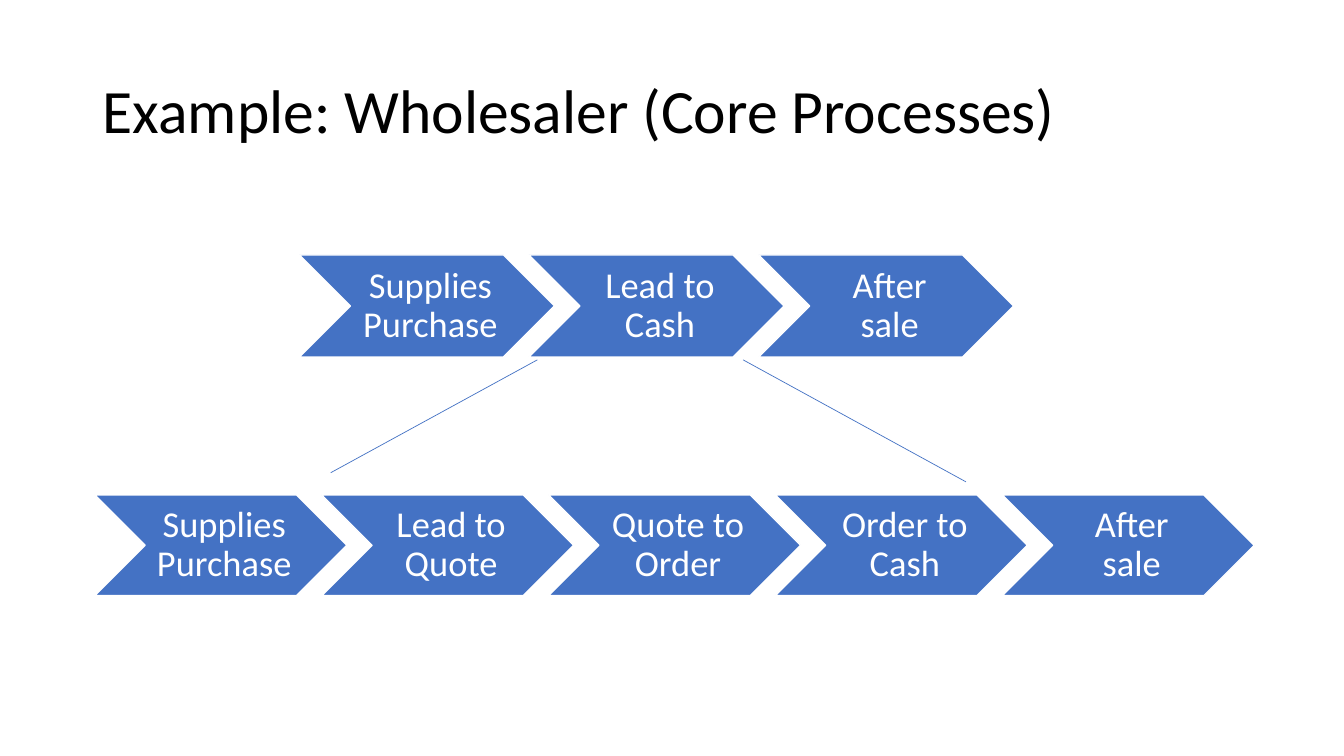
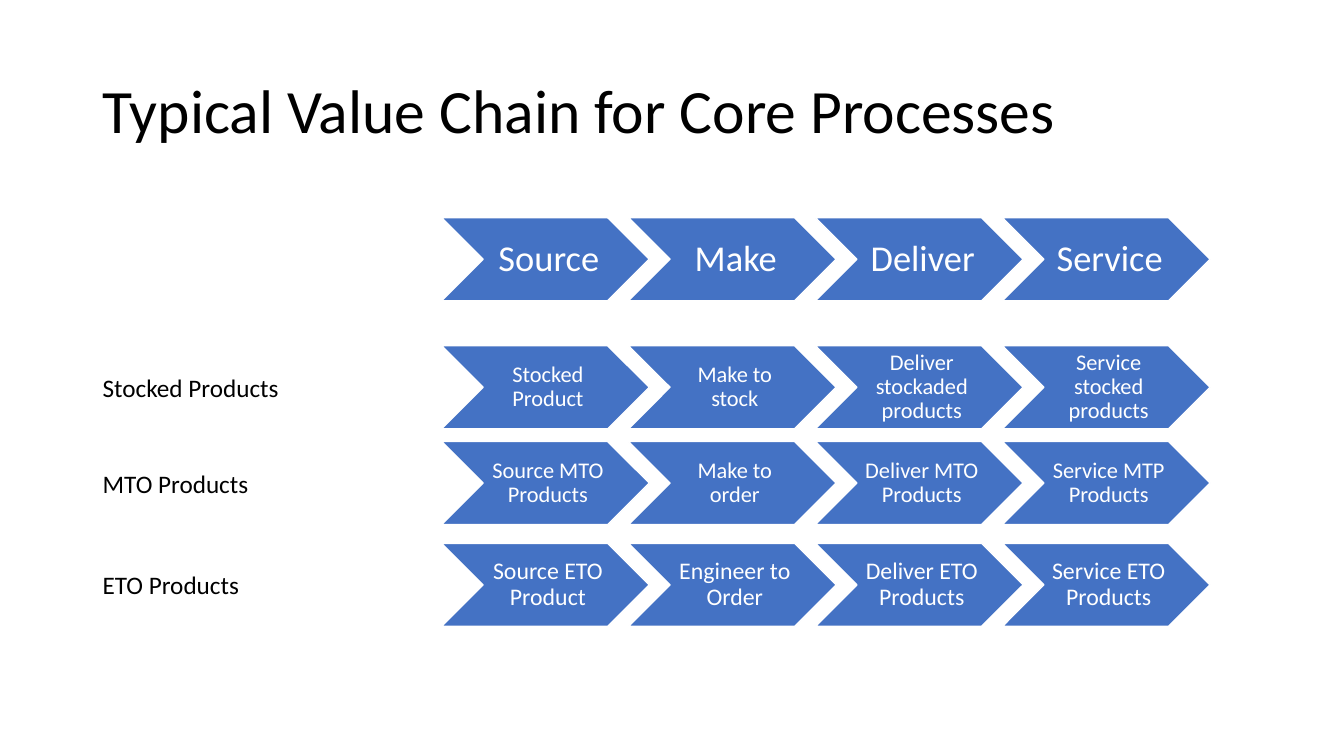
from dataclasses import dataclass

from lxml import etree
from pptx import Presentation, util as u
from pptx.dml.color import RGBColor
from pptx.enum import shapes as sh, text as tx
from pptx.oxml.ns import qn

FONT = "Calibri"
BLUE, WHITE, BLACK = "4472C4", "FFFFFF", "000000"
LEFT = 0.92
RATIO = 0.4
STEP = 0.9
WIDE = (0.11, 0.04)
SLIM = (0.07, 0.02)


@dataclass
class Chain:
    x: float
    y: float
    w: float
    steps: tuple[str, ...]
    size: int = 26
    pad: tuple[float, float] = WIDE
    label: str = ""

    @property
    def h(self) -> float:
        return self.w * RATIO


@dataclass
class Link:
    x1: float
    y1: float
    x2: float
    y2: float


@dataclass
class Page:
    title: str
    chains: tuple[Chain, ...]
    links: tuple[Link, ...] = ()


PAGES = (
    Page(
        "Example: Wholesaler (Core Processes)",
        (
            Chain(LEFT + 0.02, 4.91, 2.5, ("Supplies Purchase", "Lead to Quote", "Quote to Order",
                                          "Order to Cash", "After sale")),
            Chain(2.97, 2.53, 2.53, ("Supplies Purchase", "Lead to Cash", "After sale")),
        ),
        (Link(5.33, 3.57, 3.28, 4.69), Link(7.37, 3.57, 9.58, 4.78)),
    ),
    Page(
        "Typical Value Chain for Core Processes",
        (
            Chain(4.38, 2.16, 2.06, ("Source", "Make", "Deliver", "Service")),
            Chain(4.38, 3.43, 2.06, ("Stocked Product", "Make to stock", "Deliver stockaded products",
                                     "Service stocked products"), 16, SLIM, "Stocked Products"),
            Chain(4.38, 4.38, 2.06, ("Source MTO Products", "Make to order", "Deliver MTO Products",
                                     "Service MTP Products"), 16, SLIM, "MTO Products"),
            Chain(4.38, 5.39, 2.06, ("Source ETO Product", "Engineer to Order", "Deliver ETO Products",
                                     "Service ETO Products"), 17, SLIM, "ETO Products"),
        ),
    ),
)


def paint(form, tone: str) -> None:
    if hasattr(form, "solid"):
        form.solid()
        form.fore_color.rgb = RGBColor.from_string(tone)
    else:
        form.rgb = RGBColor.from_string(tone)


def write(shape, words: str, size: int, tone: str, lead: float = 1.0,
          align=tx.PP_ALIGN.LEFT, wrap: bool = True) -> None:
    frame = shape.text_frame
    frame.text = words
    frame.word_wrap = wrap
    frame.vertical_anchor = tx.MSO_ANCHOR.MIDDLE
    for para in frame.paragraphs:
        para.alignment = align
        para.line_spacing = lead
        for run in para.runs:
            run.font.name = FONT
            run.font.size = u.Pt(size)
            paint(run.font.color, tone)


def box(slide, x: float, y: float, w: float, h: float):
    return slide.shapes.add_textbox(u.Inches(x), u.Inches(y), u.Inches(w), u.Inches(h))


def draw_chain(slide, chain: Chain) -> None:
    for i, step in enumerate(chain.steps):
        arrow = slide.shapes.add_shape(
            sh.MSO_SHAPE.CHEVRON, u.Inches(chain.x + i * chain.w * STEP), u.Inches(chain.y),
            u.Inches(chain.w), u.Inches(chain.h))
        arrow.shadow.inherit = False
        paint(arrow.fill, BLUE)
        paint(arrow.line.fill, WHITE)
        arrow.line.width = u.Pt(1)
        frame = arrow.text_frame
        first, rest = chain.pad
        frame.margin_left = u.Inches(first)
        frame.margin_right = frame.margin_top = frame.margin_bottom = u.Inches(rest)
        write(arrow, step, chain.size, WHITE, 0.9, tx.PP_ALIGN.CENTER)
    if chain.label:
        high = 0.4
        label = box(slide, LEFT, chain.y + (chain.h - high) / 2, 1.96, high)
        write(label, chain.label, 18, BLACK)


def draw_link(slide, link: Link) -> None:
    line = slide.shapes.add_connector(
        sh.MSO_CONNECTOR.STRAIGHT, u.Inches(link.x1), u.Inches(link.y1),
        u.Inches(link.x2), u.Inches(link.y2))
    paint(line.line.fill, BLUE)
    line.line.width = u.Pt(0.5)
    props = line._element.find(qn("p:spPr"))
    etree.SubElement(props, qn("a:effectLst"))


def draw_page(deck, page: Page) -> None:
    slide = deck.slides.add_slide(deck.slide_layouts[6])
    write(box(slide, LEFT, 0.4, 11.5, 1.45), page.title, 44, BLACK, 0.9)
    for chain in page.chains:
        draw_chain(slide, chain)
    for link in page.links:
        draw_link(slide, link)


def main() -> None:
    deck = Presentation()
    deck.slide_width, deck.slide_height = u.Inches(13.33), u.Inches(7.5)
    for page in PAGES:
        draw_page(deck, page)
    deck.save("out.pptx")


if __name__ == "__main__":
    main()
